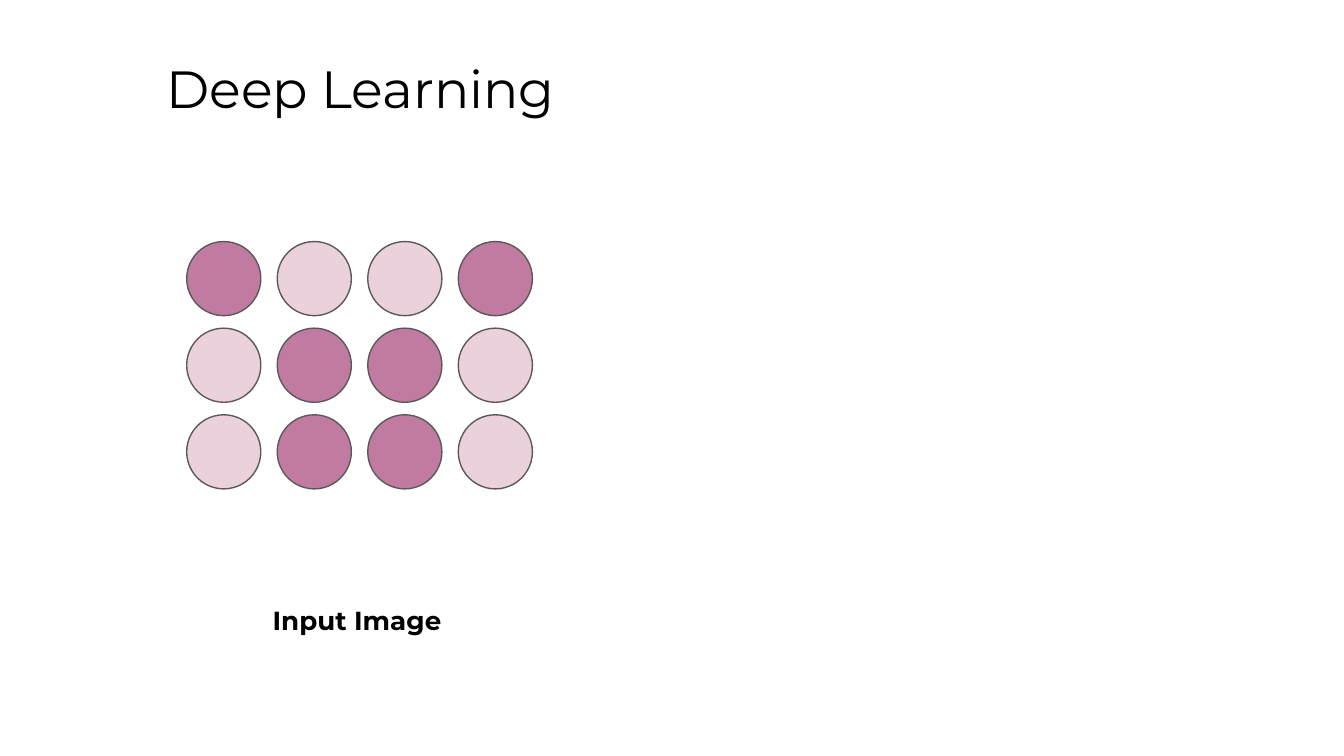
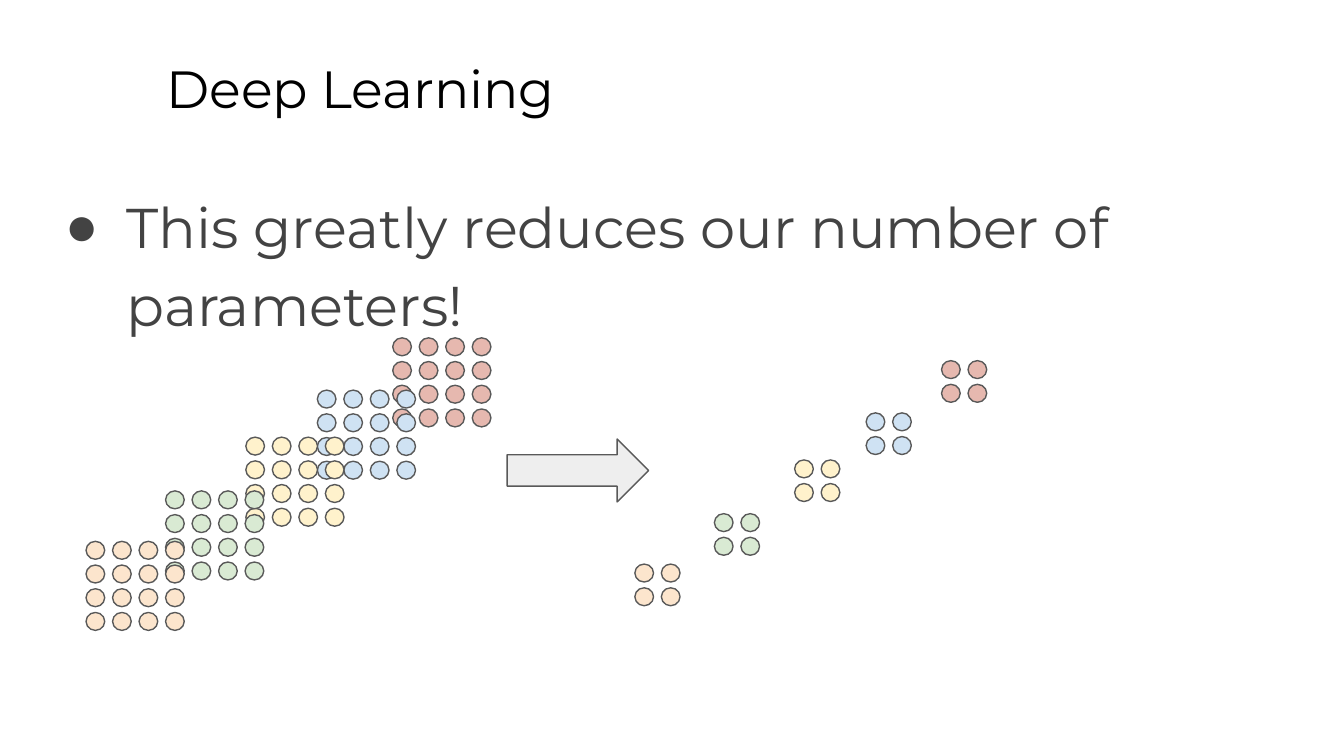
from dataclasses import dataclass

from lxml import etree
from pptx import Presentation
from pptx import util as u
from pptx.dml.color import RGBColor
from pptx.enum import shapes, text
from pptx.oxml import ns


# Shared look: colours, font and type sizes
@dataclass(frozen=True)
class Theme:
    font: str = "Montserrat"
    ink: str = "000000"
    body_ink: str = "434343"
    background: str = "FFFFFF"
    outline: str = "595959"
    arrow: str = "EEEEEE"
    pixel_dark: str = "C27BA0"
    pixel_light: str = "EAD1DC"
    red: str = "E6B8AF"
    blue: str = "CFE2F3"
    yellow: str = "FFF2CC"
    green: str = "D9EAD3"
    orange: str = "FCE5CD"
    title_size: float = 28
    body_size: float = 30
    caption_size: float = 14
    line_width: float = 0.75


THEME = Theme()
TITLE_ONLY, TITLE_AND_BODY = 5, 1

# Input image: 1 marks a dark pixel
PIXELS = ((1, 0, 0, 1), (0, 1, 1, 0), (0, 1, 1, 0))

# Feature maps, back to front: colour, left, top
FEATURE_MAPS = (
    (THEME.red, 210.4, 181),
    (THEME.blue, 170, 209),
    (THEME.yellow, 131.7, 234.2),
    (THEME.green, 88.7, 263),
    (THEME.orange, 46.1, 290),
)
POOLED_SHIFT = (294, 12.2)


def place(shape, left, top, width, height):
    shape.left, shape.top = u.Pt(left), u.Pt(top)
    shape.width, shape.height = u.Pt(width), u.Pt(height)


def write(shape, words, size, color, bold=False):
    """Write one left-aligned run from the top of a shape."""
    frame = shape.text_frame
    frame.word_wrap = True
    frame.auto_size = text.MSO_AUTO_SIZE.NONE
    frame.vertical_anchor = text.MSO_ANCHOR.TOP
    frame.margin_left = frame.margin_right = u.Pt(7.2)
    frame.margin_top = frame.margin_bottom = u.Pt(7.2)
    paragraph = frame.paragraphs[0]
    paragraph.alignment = text.PP_ALIGN.LEFT
    paragraph.space_before = u.Pt(0)
    run = paragraph.add_run()
    run.text = words
    run.font.name = THEME.font
    run.font.size = u.Pt(size)
    run.font.bold = bold
    run.font.color.rgb = RGBColor.from_string(color)
    return paragraph


def add_slide(presentation, layout, title):
    slide = presentation.slides.add_slide(presentation.slide_layouts[layout])
    fill = slide.background.fill
    fill.solid()
    fill.fore_color.rgb = RGBColor.from_string(THEME.background)
    place(slide.shapes.title, 82, 23, 613.4, 45.4)
    write(slide.shapes.title, title, THEME.title_size, THEME.ink)
    return slide


def add_bullet(slide, words):
    body = slide.placeholders[1]
    place(body, 24.5, 90.7, 671, 82)
    paragraph = write(body, words, THEME.body_size, THEME.body_ink)
    paragraph.line_spacing = 1.15
    properties = paragraph._p.get_or_add_pPr()
    properties.set("marL", str(u.Pt(36)))
    properties.set("indent", str(u.Pt(-33)))
    bullet_color = etree.SubElement(properties, ns.qn("a:buClr"))
    etree.SubElement(bullet_color, ns.qn("a:srgbClr"), val=THEME.body_ink)
    etree.SubElement(properties, ns.qn("a:buChar"), char="●")


def add_caption(slide, words, left, top, width, height):
    box = slide.shapes.add_textbox(0, 0, 0, 0)
    place(box, left, top, width, height)
    write(box, words, THEME.caption_size, THEME.ink, bold=True)


def add_outlined(slide, kind, color, left, top, width, height):
    shape = slide.shapes.add_shape(
        kind, u.Pt(left), u.Pt(top), u.Pt(width), u.Pt(height))
    shape.shadow.inherit = False
    shape.fill.solid()
    shape.fill.fore_color.rgb = RGBColor.from_string(color)
    shape.line.color.rgb = RGBColor.from_string(THEME.outline)
    shape.line.width = u.Pt(THEME.line_width)


def add_dot_grid(slide, colors, left, top, pitch, dot):
    """Draw one dot per entry of a table of colours."""
    for row, row_colors in enumerate(colors):
        for column, color in enumerate(row_colors):
            add_outlined(slide, shapes.MSO_SHAPE.OVAL, color,
                         left + column * pitch[0], top + row * pitch[1], *dot)


def add_feature_maps(slide, side, shift=(0, 0)):
    for color, left, top in FEATURE_MAPS:
        add_dot_grid(slide, [[color] * side] * side, left + shift[0],
                     top + shift[1], pitch=(14.2, 12.7), dot=(10, 9.6))


def build_input_slide(presentation):
    slide = add_slide(presentation, TITLE_ONLY, "Deep Learning")
    palette = (THEME.pixel_light, THEME.pixel_dark)
    colors = [[palette[pixel] for pixel in row] for row in PIXELS]
    add_dot_grid(slide, colors, 100, 129.4, pitch=(48.5, 46.4), dot=(39.7, 39.7))
    add_caption(slide, "Input Image", 139, 316.8, 115.2, 39.6)


def build_pooling_slide(presentation):
    slide = add_slide(presentation, TITLE_AND_BODY, "Deep Learning")
    add_bullet(slide, "This greatly reduces our number of parameters!")
    # Full maps, then the pooled maps and the arrow between them
    add_feature_maps(slide, side=4)
    add_feature_maps(slide, side=2, shift=POOLED_SHIFT)
    add_outlined(slide, shapes.MSO_SHAPE.RIGHT_ARROW, THEME.arrow,
                 271.7, 235.2, 75.8, 33.7)


def main():
    presentation = Presentation()
    presentation.slide_width, presentation.slide_height = u.Pt(720), u.Pt(405)
    build_input_slide(presentation)
    build_pooling_slide(presentation)
    presentation.save("out.pptx")


if __name__ == "__main__":
    main()
